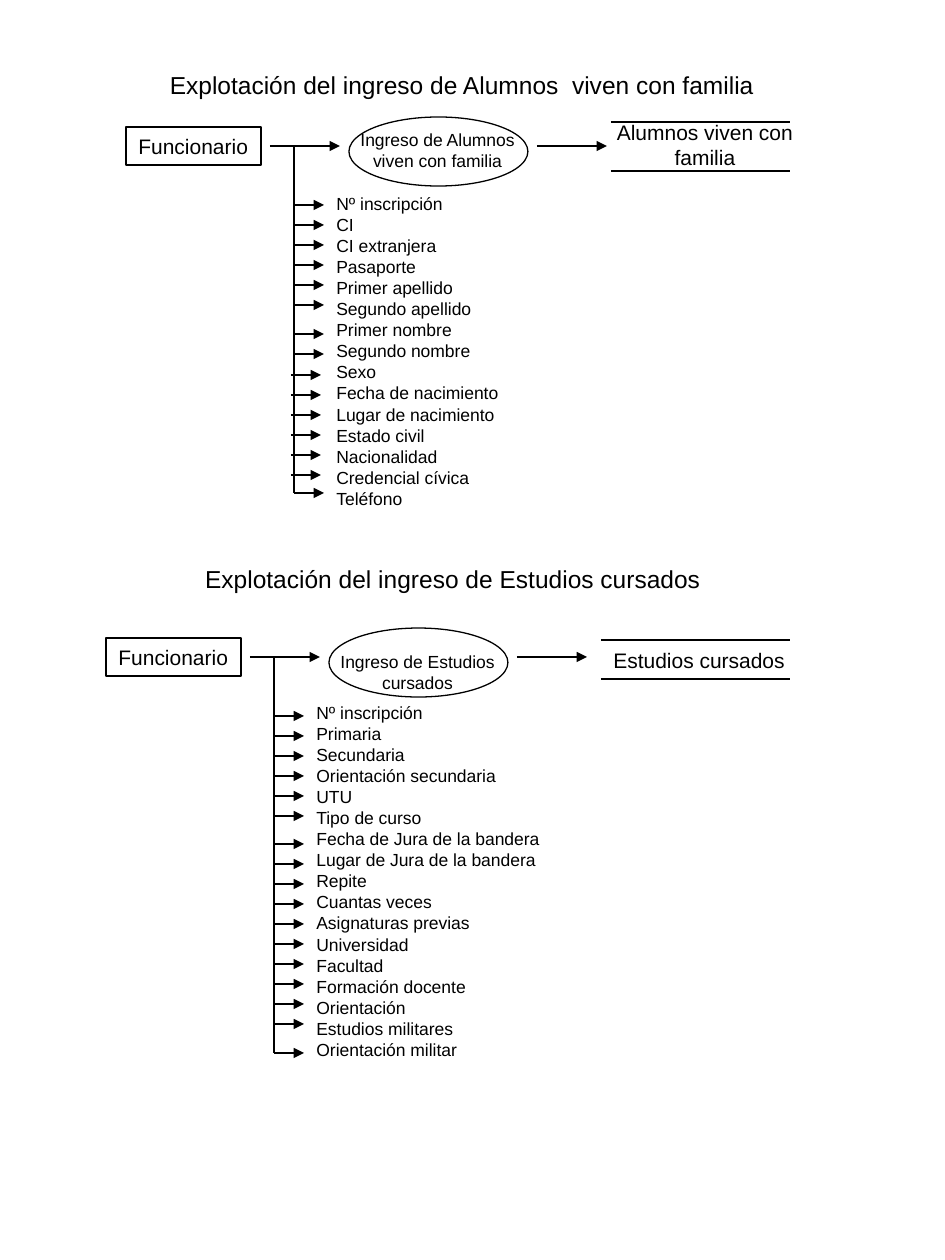
from collections import namedtuple
from dataclasses import dataclass

from lxml.etree import SubElement
from pptx import Presentation
from pptx.dml.color import RGBColor
from pptx.enum.shapes import MSO_CONNECTOR as Connector, MSO_SHAPE as Shape
from pptx.enum.text import MSO_ANCHOR as Anchor, PP_ALIGN as Align
from pptx.oxml.ns import qn
from pptx.util import Pt

Box = namedtuple("Box", "left top width height")
Run = namedtuple("Run", "start count shift")


@dataclass(frozen=True)
class Theme:
    ink: RGBColor = RGBColor(0, 0, 0)
    font: str = "Arial"
    title: int = 14
    label: int = 12
    detail: int = 10
    stroke: float = 0.75


THEME = Theme()
BRANCH_STEP = 20
BRANCH_LENGTH = 30
TRUNK = 168
FLOW = 19


def px(value):
    return round(value * 914400 / 126)


def within(area, left, top, width, height):
    return Box(area.left + left, area.top + top, width, height)


def write(shape, lines, size, align=Align.LEFT, anchor=Anchor.TOP, wrap=True):
    frame = shape.text_frame
    frame.word_wrap = wrap
    frame.vertical_anchor = anchor
    frame.text = "\n".join(lines)
    for para in frame.paragraphs:
        para.alignment = align
        for span in para.runs:
            span.font.name = THEME.font
            span.font.size = Pt(size)
            span.font.color.rgb = THEME.ink


def add_text(page, box, lines, size, align=Align.LEFT):
    write(page.shapes.add_textbox(*map(px, box)), lines, size, align)


def add_outline(page, kind, box):
    shape = page.shapes.add_shape(kind, *map(px, box))
    shape.shadow.inherit = False
    shape.fill.background()
    shape.line.color.rgb = THEME.ink
    shape.line.width = Pt(THEME.stroke)
    return shape


def add_line(page, area, x1, y1, x2, y2, arrow=False):
    ends = (area.left + x1, area.top + y1, area.left + x2, area.top + y2)
    line = page.shapes.add_connector(Connector.STRAIGHT, *map(px, ends))
    line.line.color.rgb = THEME.ink
    line.line.width = Pt(THEME.stroke)
    if arrow:
        SubElement(line.line._get_or_add_ln(), qn("a:tailEnd"), type="triangle")
    SubElement(line._element.spPr, qn("a:effectLst"))


def add_flow(page, area, process, process_top):
    actor = add_outline(page, Shape.RECTANGLE, within(area, 0, 0, 135, 38))
    write(actor, ["Funcionario"], THEME.label, anchor=Anchor.MIDDLE, wrap=False)
    add_outline(page, Shape.OVAL, within(area, 223, -10, 179, 69))
    add_text(page, within(area, 217, process_top, 189, 55), [process],
             THEME.detail, Align.CENTER)
    for start in (144, 411):
        add_line(page, area, start, FLOW, start + 70, FLOW, arrow=True)


def add_store(page, box, name, text_box, align):
    add_text(page, text_box, [name], THEME.label, align)
    for y in (0, box.height):
        add_line(page, box, 0, y, box.width, y)


def add_fields(page, area, fields, list_top, runs):
    add_text(page, within(area, 198, list_top, 268, 21 * len(fields) + 13),
             fields, THEME.detail)
    add_line(page, area, TRUNK, FLOW, TRUNK, runs[-1].start)
    for run in runs:
        left = TRUNK + run.shift
        for index in range(run.count):
            y = run.start + index * BRANCH_STEP
            add_line(page, area, left, y, left + BRANCH_LENGTH, y, arrow=True)


def add_family_diagram(page, area):
    add_text(page, within(area, -1, -63, 674, 43),
             ["Explotación del ingreso de Alumnos  viven con familia"],
             THEME.title, Align.CENTER)
    add_flow(page, area, "Ingreso de Alumnos viven con familia", -4)
    add_store(page, within(area, 485, -5, 179, 49), "Alumnos viven con familia",
              within(area, 475, -14, 208, 63), Align.CENTER)
    fields = ["Nº inscripción", "CI", "CI extranjera", "Pasaporte",
              "Primer apellido", "Segundo apellido", "Primer nombre",
              "Segundo nombre", "Sexo", "Fecha de nacimiento",
              "Lugar de nacimiento", "Estado civil", "Nacionalidad",
              "Credencial cívica", "Teléfono"]
    add_fields(page, area, fields, 60,
               [Run(78, 6, 0), Run(207, 2, 0), Run(248, 6, -3), Run(366, 1, 0)])


def add_studies_diagram(page, area):
    add_text(page, within(area, 59, -80, 576, 43),
             ["Explotación del ingreso de Estudios cursados"],
             THEME.title, Align.CENTER)
    add_flow(page, area, "Ingreso de Estudios cursados", 7)
    add_store(page, within(area, 495, 2, 189, 39), "Estudios cursados",
              within(area, 495, 3, 218, 38), Align.LEFT)
    fields = ["Nº inscripción", "Primaria", "Secundaria",
              "Orientación secundaria", "UTU", "Tipo de curso",
              "Fecha de Jura de la bandera", "Lugar de Jura de la bandera",
              "Repite", "Cuantas veces", "Asignaturas previas", "Universidad",
              "Facultad", "Formación docente", "Orientación",
              "Estudios militares", "Orientación militar"]
    add_fields(page, area, fields, 58,
               [Run(78, 6, 0), Run(206, 10, 0), Run(415, 1, 0)])


def main():
    deck = Presentation()
    deck.slide_width, deck.slide_height = px(945), px(1260)
    page = deck.slides.add_slide(deck.slide_layouts[6])
    add_family_diagram(page, Box(126, 127, 683, 387))
    add_studies_diagram(page, Box(106, 638, 713, 450))
    deck.save("out.pptx")


if __name__ == "__main__":
    main()
